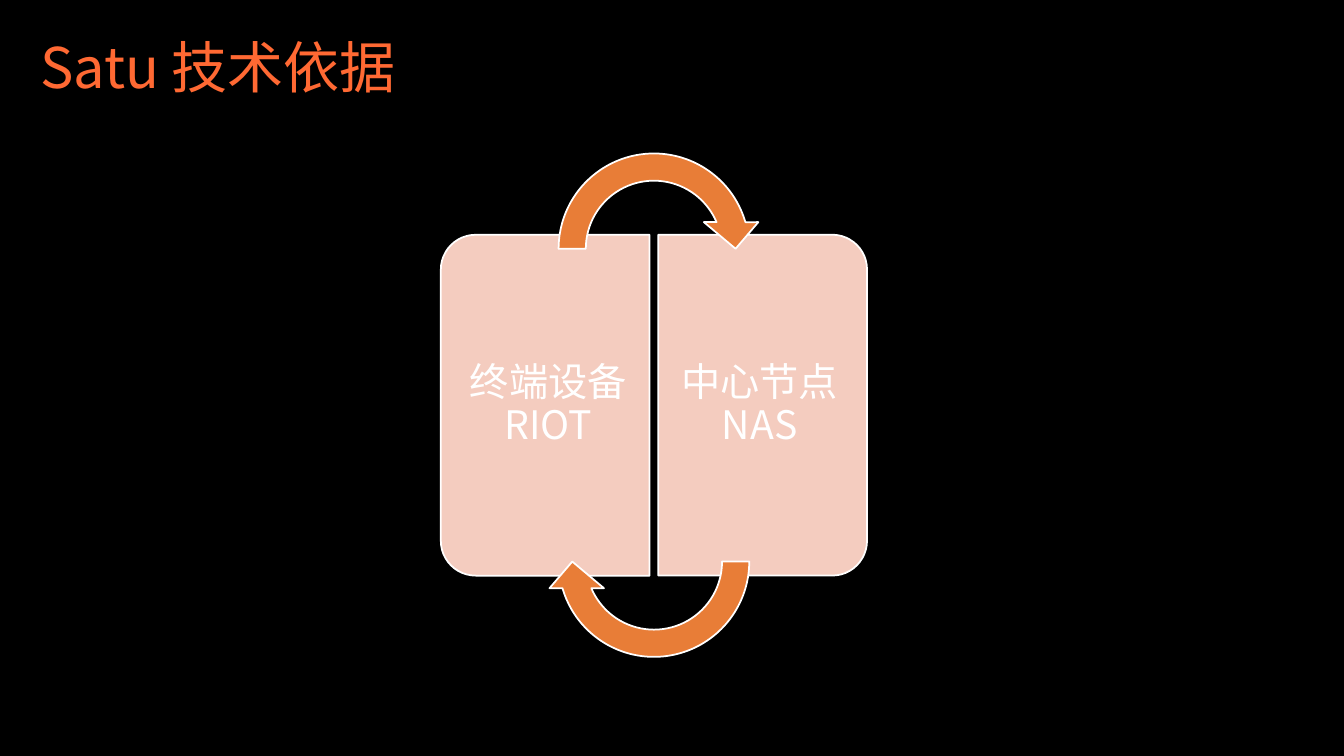
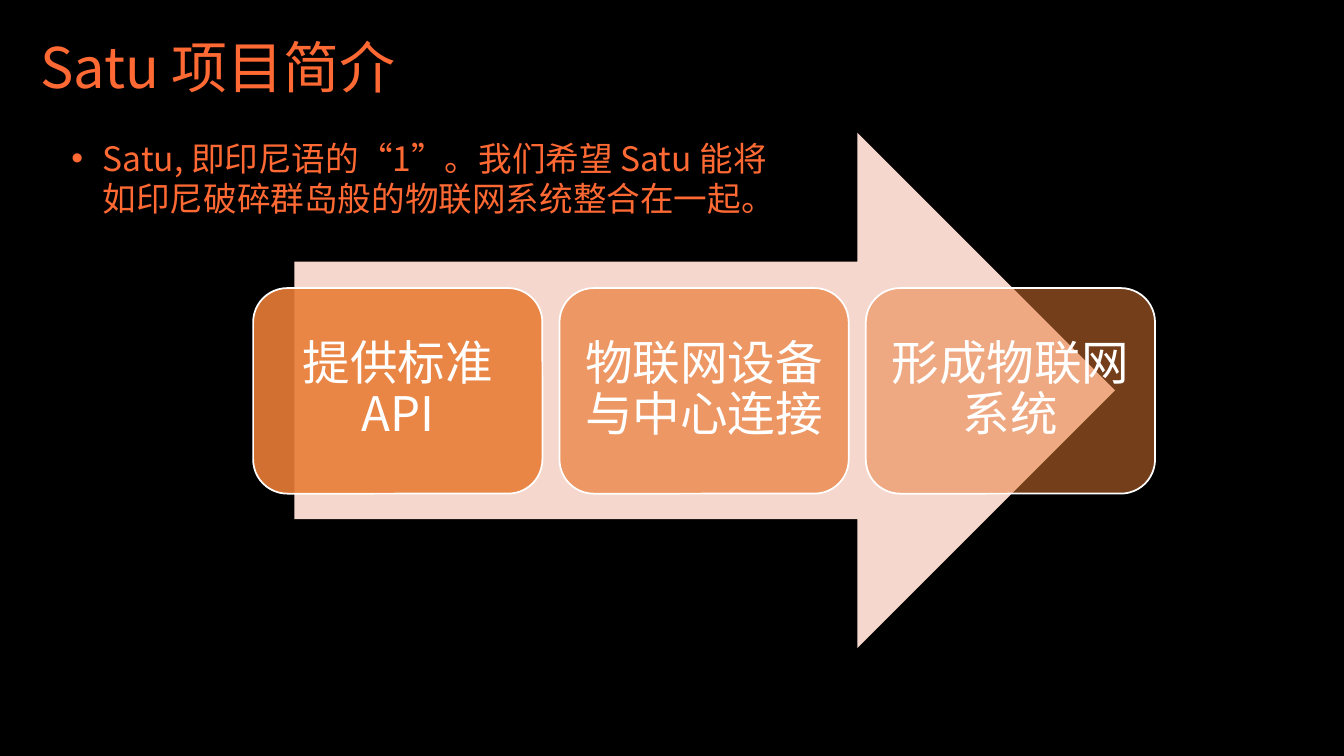
import pptx
import pptx.util
import pptx.dml.color
import pptx.enum.shapes
import pptx.enum.text
import pptx.oxml.ns
from lxml import etree

Cm, Pt = pptx.util.Cm, pptx.util.Pt
KIND = pptx.enum.shapes.MSO_SHAPE
ALIGN = pptx.enum.text.PP_ALIGN
ANCHOR = pptx.enum.text.MSO_ANCHOR
qn = pptx.oxml.ns.qn

# Content
LINK = {
    "title": "Satu 技术依据",
    # text, side of the middle, turn, left and right inset
    "panels": [("终端设备RIOT", -1, 270, 0.3, 0.43),
               ("中心节点NAS", 1, 90, 0.43, 0.3)],
    # side of the middle, turn
    "loops": [(-1, 0), (1, 180)],
}
INTRO = {
    "title": "Satu 项目简介",
    "body": "Satu, 即印尼语的“1”。我们希望 Satu 能将如印尼破碎群岛般的物联网系统整合在一起。",
    # text, opacity in percent
    "steps": [("提供标准API", 90), ("物联网设备与中心连接", 70), ("形成物联网系统", 50)],
}

# Shared style
FONT = "Noto Sans CJK SC"
COLOR = {"back": "000000", "title": "FF6933", "panel": "F4CCBF",
         "arrow": "F6D7CE", "accent": "E87D37", "white": "FFFFFF"}


def rgb(name):
    return pptx.dml.color.RGBColor.from_string(COLOR[name])


def write(shape, text, size, color, align, inset=None, space=None):
    frame = shape.text_frame
    frame.word_wrap = True
    frame.auto_size = pptx.enum.text.MSO_AUTO_SIZE.NONE
    frame.vertical_anchor = ANCHOR.MIDDLE
    if inset:
        (frame.margin_left, frame.margin_top,
         frame.margin_right, frame.margin_bottom) = [Cm(v) for v in inset]
    para = frame.paragraphs[0]
    para.alignment = align
    if space:
        para.line_spacing = space
    run = para.add_run()
    run.text = text
    run.font.size = Pt(size)
    run.font.name = FONT
    run.font.color.rgb = rgb(color)
    etree.SubElement(run.font._element, qn("a:ea"), typeface=FONT)
    return para


def draw(slide, kind, box, fill, line=True, turn=0, alpha=None):
    shape = slide.shapes.add_shape(kind, *[Cm(v) for v in box])
    shape.shadow.inherit = False
    shape.rotation = turn
    shape.fill.solid()
    shape.fill.fore_color.rgb = rgb(fill)
    if alpha:
        tint = shape.fill._xPr.find(".//" + qn("a:srgbClr"))
        etree.SubElement(tint, qn("a:alpha"), val=str(alpha * 1000))
    if line:
        shape.line.color.rgb = rgb("white")
        shape.line.width = Pt(1.25)
    else:
        shape.line.fill.background()
    return shape


def center(x, y, wide, high):
    return x - wide / 2, y - high / 2, wide, high


def start(deck, text):
    slide = deck.slides.add_slide(deck.slide_layouts[5])
    title = slide.shapes.title
    title.left, title.top, title.width, title.height = [
        Cm(v) for v in (0.76, 0.69, 9.65, 1.96)]
    write(title, text, 40, "title", ALIGN.LEFT)
    return slide


def link(deck):
    slide = start(deck, LINK["title"])
    mid_x, mid_y = 16.48, 10.21
    # Two half panels, each with upright text
    for text, side, turn, left, right in LINK["panels"]:
        box = center(mid_x + side * 2.74, mid_y, 8.59, 5.26)
        panel = draw(slide, KIND.ROUND_2_SAME_RECTANGLE, box, "panel", turn=turn)
        panel.adjustments[0] = 0.167
        area = center(mid_x + side * 2.6, mid_y, 4.98, 8.08)
        label = slide.shapes.add_textbox(*[Cm(v) for v in area])
        write(label, text, 28, "white", ALIGN.CENTER, (left, 0.48, right, 0.48), 0.9)
    # Arrows that circle between the panels
    for side, turn in LINK["loops"]:
        box = center(mid_x, mid_y + side * 3.94, 5.49, 5.49)
        loop = draw(slide, KIND.CIRCULAR_ARROW, box, "accent", turn=turn)
        for spot, value in enumerate((0.125, 11.42, 204.58, 108, 0.125)):
            loop.adjustments[spot] = value


def intro(deck):
    slide = start(deck, INTRO["title"])
    draw(slide, KIND.RIGHT_ARROW, (7.42, 3.35, 20.68, 12.98), "arrow", line=False)
    # Steps fade from left to right
    for spot, (text, alpha) in enumerate(INTRO["steps"]):
        box = (6.38 + spot * 7.72, 7.26, 7.29, 5.18)
        step = draw(slide, KIND.ROUNDED_RECTANGLE, box, "accent", alpha=alpha)
        write(step, text, 34, "white", ALIGN.CENTER, (0.36,) * 4, 0.9)
    # Bulleted summary
    body = slide.shapes.add_textbox(*[Cm(v) for v in (1.55, 3.35, 18.19, 2.31)])
    para = write(body, INTRO["body"], 24, "title", ALIGN.LEFT)
    body.text_frame.vertical_anchor = ANCHOR.TOP
    props = para._p.get_or_add_pPr()
    props.set("marL", str(Cm(0.79)))
    props.set("indent", str(-Cm(0.79)))
    etree.SubElement(props, qn("a:buFont"), typeface="Arial")
    etree.SubElement(props, qn("a:buChar"), char="•")


def main():
    deck = pptx.Presentation()
    deck.slide_width, deck.slide_height = Cm(33.87), Cm(19.05)
    fill = deck.slide_master.background.fill
    fill.solid()
    fill.fore_color.rgb = rgb("back")
    link(deck)
    intro(deck)
    deck.save("out.pptx")


if __name__ == "__main__":
    main()
